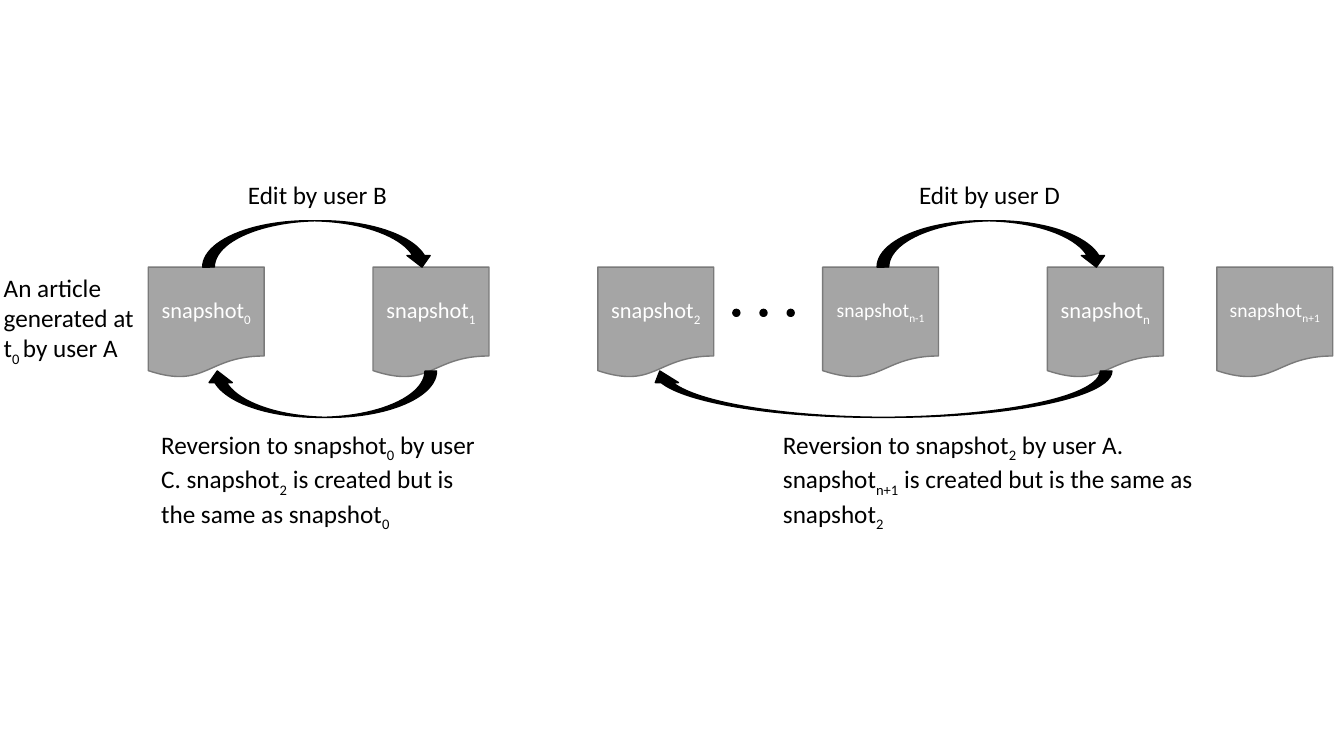
import pptx
import pptx.dml.color
import pptx.enum.shapes
import pptx.enum.text
import pptx.util

Pt = pptx.util.Pt
SHAPES = pptx.enum.shapes.MSO_SHAPE


def color(hex_string):
    return pptx.dml.color.RGBColor.from_string(hex_string)


class Diagram:
    font_name = "Calibri"
    black = "000000"
    white = "FFFFFF"
    document_fill = "A5A5A5"
    document_line = "7A7A7A"

    def __init__(self, slide):
        self.slide = slide

    def add_runs(self, paragraph, text, size, hex_string):
        for index, part in enumerate(text.split("|")):
            run = paragraph.add_run()
            run.text = part
            run.font.name = self.font_name
            run.font.size = Pt(size)
            run.font.color.rgb = color(hex_string)
            if index % 2:
                run._r.get_or_add_rPr().set("baseline", "-25000")

    def add_shape(self, preset, left, top, width, height, fill, line):
        shape = self.slide.shapes.add_shape(
            preset, Pt(left), Pt(top), Pt(width), Pt(height))
        shape.shadow.inherit = False
        shape.fill.solid()
        shape.fill.fore_color.rgb = color(fill)
        shape.line.color.rgb = color(line)
        shape.line.width = Pt(1)
        return shape

    def add_snapshot(self, left, subscript, size):
        shape = self.add_shape(SHAPES.FLOWCHART_DOCUMENT, left, 190.8, 82.8, 79.2,
                               self.document_fill, self.document_line)
        frame = shape.text_frame
        frame.word_wrap = True
        frame.vertical_anchor = pptx.enum.text.MSO_ANCHOR.MIDDLE
        paragraph = frame.paragraphs[0]
        paragraph.alignment = pptx.enum.text.PP_ALIGN.CENTER
        self.add_runs(paragraph, f"snapshot|{subscript}", size, self.white)

    def add_arrow(self, left, top, width, rotation=0):
        shape = self.add_shape(SHAPES.CURVED_DOWN_ARROW, left, top, width, 33.1,
                               self.black, self.black)
        shape.rotation = rotation

    def add_dot(self, left):
        self.add_shape(SHAPES.FLOWCHART_CONNECTOR, left, 221, 5, 5,
                       self.black, self.black)

    def add_text(self, left, top, width, height, *lines):
        box = self.slide.shapes.add_textbox(Pt(left), Pt(top), Pt(width), Pt(height))
        frame = box.text_frame
        frame.word_wrap = True
        frame.auto_size = pptx.enum.text.MSO_AUTO_SIZE.SHAPE_TO_FIT_TEXT
        for index, line in enumerate(lines):
            paragraph = frame.add_paragraph() if index else frame.paragraphs[0]
            self.add_runs(paragraph, line, 18, self.black)


def main():
    presentation = pptx.Presentation()
    presentation.slide_width = Pt(960)
    presentation.slide_height = Pt(540)
    diagram = Diagram(presentation.slides.add_slide(presentation.slide_layouts[6]))

    first_left, pitch = 105.9, 160.56
    snapshots = [("0", 16), ("1", 16), ("2", 16), ("n-1", 14), ("n", 16)]
    for index, (subscript, size) in enumerate(snapshots):
        diagram.add_snapshot(first_left + index * pitch, subscript, size)
    diagram.add_snapshot(869.2, "n+1", 14)

    for index in range(3):
        diagram.add_dot(523.5 + index * 19.4)

    for left in (144.8, 626.5):
        diagram.add_arrow(left, 157.7, 164.9)
    for left, width in ((146.9, 164.9), (463, 331.2)):
        diagram.add_arrow(left, 265, width, 180)

    diagram.add_text(-4.4, 190.8, 110.2, 72.7,
                     "An article generated at", "t|0 |by user A")
    diagram.add_text(170, 124.6, 119.5, 29.1, "Edit by user B")
    diagram.add_text(649.4, 124.6, 119.5, 29.1, "Edit by user D")
    diagram.add_text(108, 303.1, 243.4, 72.7,
                     "Reversion to snapshot|0| by user C. snapshot|2"
                     "| is created but is the same as snapshot|0")
    diagram.add_text(552.2, 303.1, 313.9, 72.7,
                     "Reversion to snapshot|2| by user A.",
                     "snapshot|n+1| is created but is the same as snapshot|2")

    presentation.save("out.pptx")


if __name__ == "__main__":
    main()
